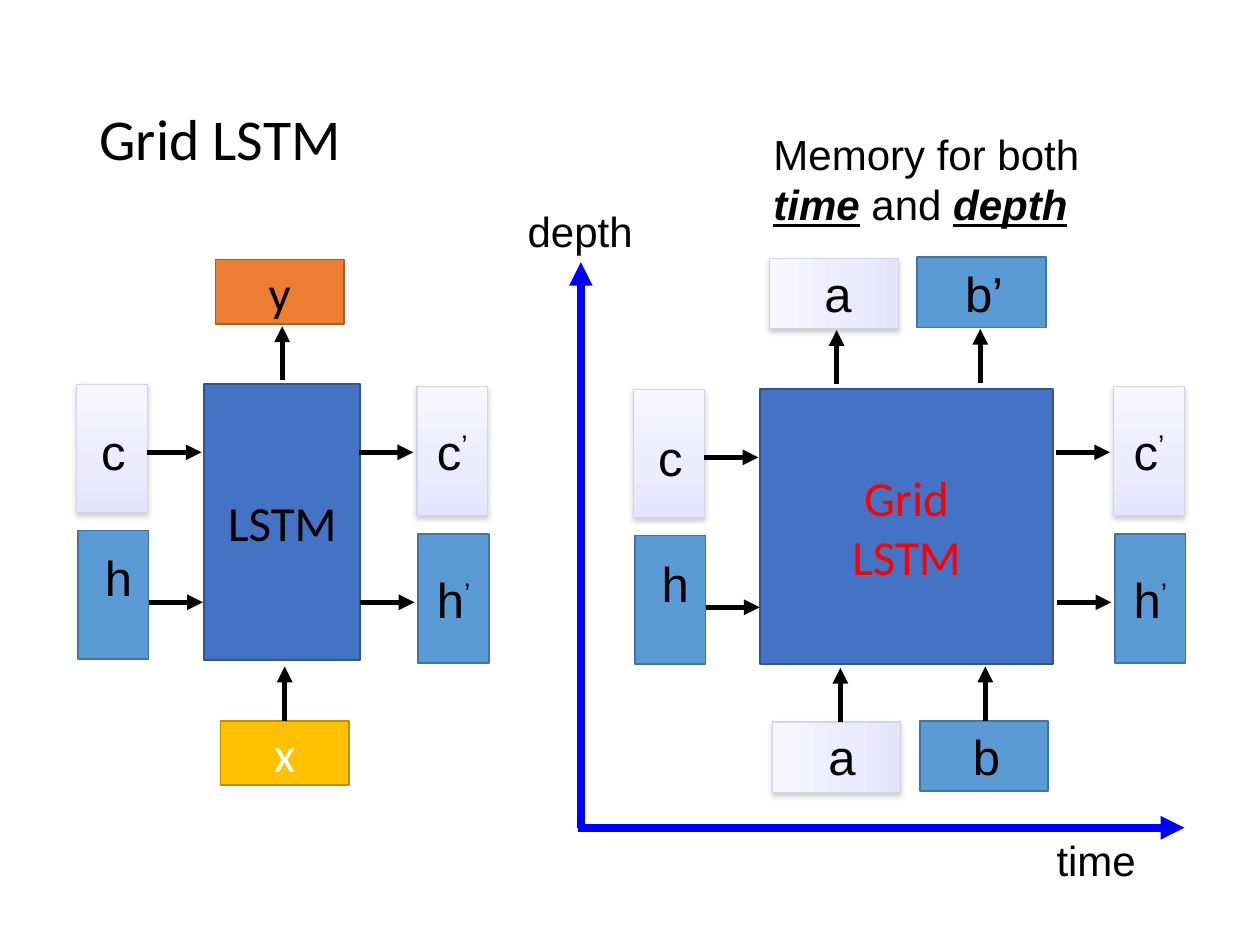
"""Build the Grid LSTM slide, comparing an LSTM block with a Grid LSTM block."""
import pptx
import pptx.dml.color
import pptx.enum.shapes
import pptx.enum.text
import pptx.oxml
import pptx.util
from pptx.util import Inches

COLORS = {
    "black": "000000", "white": "FFFFFF", "red": "FF0000", "axis": "0000FF",
    "block": "4472C4", "block_edge": "325491",
    "hidden": "5B9BD5", "hidden_edge": "43739E",
    "output": "ED7D31", "output_edge": "AF5C24",
    "input": "FFC000", "input_edge": "BD8E00",
    "memory_edge": "D4D3E7", "memory_shadow": "808080",
}
MEMORY_STOPS = {0: "F7F6FF", 65: "ECEBFF", 100: "E5E3FF"}
NS = 'xmlns:a="http://schemas.openxmlformats.org/drawingml/2006/main"'
CELL_W, CELL_H = 0.56, 1.02
STEP = 0.43
EMPHASIS = {"bold": True, "italic": True, "underline": True}
CENTER = pptx.enum.text.PP_ALIGN.CENTER
MIDDLE = pptx.enum.text.MSO_ANCHOR.MIDDLE


class Diagram:
    """Hold the style, the current slide and the shapes being drawn into."""

    def __init__(self, slide):
        self.slide = slide
        self.shapes = slide.shapes

    def color(self, name):
        return pptx.dml.color.RGBColor.from_string(COLORS[name])

    def start_group(self):
        self.shapes = self.slide.shapes.add_group_shape().shapes

    def end_group(self):
        self.shapes = self.slide.shapes

    def fill_text(self, frame, paragraphs, color="black", align=CENTER, **formats):
        for index, runs in enumerate(paragraphs):
            paragraph = frame.add_paragraph() if index else frame.paragraphs[0]
            paragraph.alignment = align
            for words, extra in runs:
                run = paragraph.add_run()
                run.text = words
                run.font.color.rgb = self.color(color)
                for name, value in {**formats, **extra}.items():
                    setattr(run.font, name, value)
                if words == "’":
                    run._r.get_or_add_rPr().set("baseline", "30000")

    def title(self, words, left, top, width, height):
        title = self.slide.shapes.title
        place = {"left": left, "top": top, "width": width, "height": height}
        for name, value in place.items():
            setattr(title, name, Inches(value))
        title.text_frame.vertical_anchor = MIDDLE
        self.fill_text(title.text_frame, [[(words, {})]], name="Calibri",
                       size=pptx.util.Pt(33), align=pptx.enum.text.PP_ALIGN.LEFT)
        title.text_frame.paragraphs[0].line_spacing = 0.9

    def box(self, kind, left, top, width=CELL_W, height=CELL_H,
            paragraphs=(), color="black", font="Calibri", rotation=0):
        box = self.shapes.add_shape(
            pptx.enum.shapes.MSO_SHAPE.RECTANGLE,
            Inches(left), Inches(top), Inches(width), Inches(height))
        box.rotation = rotation
        box.line.color.rgb = self.color(kind + "_edge")
        if kind == "memory":
            box.line.width = pptx.util.Pt(0.75)
            self.shade(box)
        else:
            box.shadow.inherit = False
            box.line.width = pptx.util.Pt(1)
            box.fill.solid()
            box.fill.fore_color.rgb = self.color(kind)
        box.text_frame.vertical_anchor = MIDDLE
        self.fill_text(box.text_frame, paragraphs, color, name=font,
                       size=pptx.util.Pt(28))
        return box

    def shade(self, box):
        stops = "".join(
            f'<a:gs pos="{stop * 1000}"><a:srgbClr val="{tint}"/></a:gs>'
            for stop, tint in MEMORY_STOPS.items())
        gradient = pptx.oxml.parse_xml(
            f'<a:gradFill {NS} rotWithShape="1"><a:gsLst>{stops}</a:gsLst>'
            '<a:lin ang="5400000" scaled="0"/></a:gradFill>')
        shadow = pptx.oxml.parse_xml(
            f'<a:effectLst {NS}><a:outerShdw blurRad="39370" dist="20320" '
            'dir="5400000" rotWithShape="0">'
            f'<a:srgbClr val="{COLORS["memory_shadow"]}">'
            '<a:alpha val="38000"/></a:srgbClr></a:outerShdw></a:effectLst>')
        properties = box._element.spPr
        properties.prstGeom.addnext(gradient)
        properties.append(shadow)

    def arrow(self, start, end, color="black", weight=3, source=None, site=0):
        arrow = self.shapes.add_connector(
            pptx.enum.shapes.MSO_CONNECTOR.STRAIGHT,
            *(Inches(value) for value in (*start, *end)))
        if source is not None:
            arrow.begin_connect(source, site)
        arrow.line.color.rgb = self.color(color)
        arrow.line.width = pptx.util.Pt(weight)
        properties = arrow._element.spPr
        properties.get_or_add_ln().append(
            pptx.oxml.parse_xml(f'<a:tailEnd {NS} type="triangle"/>'))
        properties.append(pptx.oxml.parse_xml(f"<a:effectLst {NS}/>"))

    def text(self, runs, left, top, width, height, size=24, wrap=True,
             align=CENTER):
        label = self.shapes.add_textbox(
            Inches(left), Inches(top), Inches(width), Inches(height))
        label.text_frame.word_wrap = wrap
        label.text_frame.auto_size = pptx.enum.text.MSO_AUTO_SIZE.SHAPE_TO_FIT_TEXT
        self.fill_text(label.text_frame, [runs], align=align, name="Arial",
                       size=pptx.util.Pt(size))

    def symbol(self, words, center, top, width):
        self.text([(words, {})], center - width / 2, top, width, 0.57,
                  size=28, wrap=False)

    def time_inputs(self, left, top):
        self.box("memory", left, top)
        self.box("hidden", left + 0.01, top + 1.16)
        for x, y in ((left + 0.56, top + 0.54), (left + 0.57, top + 1.73)):
            self.arrow((x, y), (x + STEP, y))
        self.symbol("c", left + 0.28, top + 0.25, 0.37)
        self.symbol("h", left + 0.33, top + 1.25, 0.42)

    def time_outputs(self, left):
        cells = (("memory", "c", 0, 3.07, 3.59), ("hidden", "h", 0.01, 4.24, 4.78))
        for kind, letter, shift, top, y in cells:
            self.box(kind, left + shift, top, font="Arial",
                     paragraphs=[[(letter, {}), ("’", {})]])
            x = left + shift - 0.46
            self.arrow((x, y), (x + STEP, y))

    def depth_cells(self, left, top, labels):
        cells = (("memory", 0, 0.31, 0), ("hidden", 1.17, 1.47, -0.01))
        for (kind, shift, center, drop), (words, width) in zip(cells, labels):
            self.box(kind, left + shift, top + drop, rotation=270)
            self.symbol(words, left + center, top + 0.22, width)

    def depth_arrows(self, points):
        for x, y in points:
            self.arrow((x, y), (x, y - STEP))


def main():
    deck = pptx.Presentation()
    deck.slide_width, deck.slide_height = Inches(10), Inches(7.5)
    diagram = Diagram(deck.slides.add_slide(deck.slide_layouts[5]))
    diagram.title("Grid LSTM", 0.69, 0.4, 8.62, 1.45)

    diagram.start_group()
    diagram.box("block", 1.62, 3.05, 1.24, 2.19, [[("LSTM", {})]])
    diagram.box("output", 1.71, 2.06, 1.02, 0.51, [[("y", {})]])
    source = diagram.box("input", 1.75, 5.72, 1.02, 0.51, [[("x", {})]], "white")
    diagram.arrow((2.26, 5.72), (2.26, 5.29), source=source)
    diagram.depth_arrows([(2.24, 3.02)])
    diagram.time_inputs(0.61, 3.05)
    diagram.time_outputs(3.31)
    diagram.end_group()

    diagram.box("block", 6.03, 3.09, 2.33, 2.18,
                [[("Grid", {})], [("LSTM", {})]], "red")
    diagram.time_inputs(5.03, 3.09)
    diagram.time_outputs(8.84)
    diagram.text([("Memory for both ", {}), ("time", EMPHASIS), (" and ", {}),
                  ("depth", EMPHASIS)], 6.04, 0.97, 2.94, 0.91,
                 align=pptx.enum.text.PP_ALIGN.LEFT)
    diagram.depth_cells(6.36, 5.5, (("a", 0.39), ("b", 0.42)))
    diagram.start_group()
    diagram.depth_cells(6.34, 1.82, (("a’", 0.49), ("b’", 0.51)))
    diagram.end_group()
    diagram.depth_arrows([(6.67, 5.73), (7.82, 5.72), (6.64, 3.05), (7.78, 3.04)])

    diagram.arrow((4.59, 6.57), (9.4, 6.57), "axis", 4.5)
    diagram.arrow((4.61, 6.57), (4.61, 2.08), "axis", 4.5)
    diagram.text([("time", {})], 7.78, 6.57, 1.84, 0.51)
    diagram.text([("depth", {})], 4.03, 1.58, 1.15, 0.51)
    deck.save("out.pptx")


if __name__ == "__main__":
    main()
